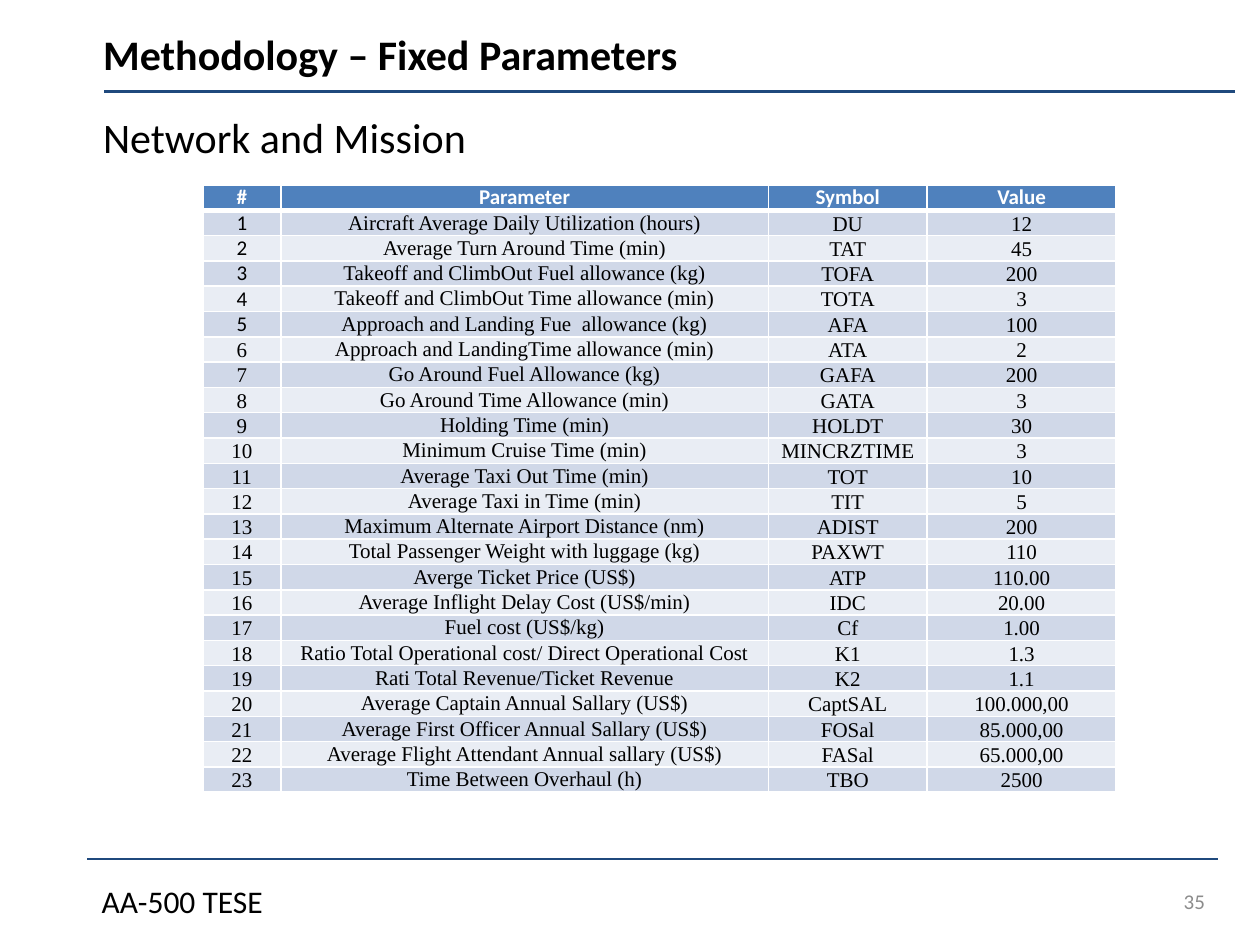
from lxml.etree import SubElement
from pptx import Presentation
from pptx.dml.color import RGBColor
from pptx.enum.shapes import MSO_CONNECTOR
from pptx.enum.text import MSO_ANCHOR, PP_ALIGN
from pptx.oxml.ns import qn
from pptx.util import Cm, Pt

HEADER = ("#", "Parameter", "Symbol", "Value")
PARAMETERS = [
    ("Aircraft Average Daily Utilization (hours)", "DU", "12"),
    ("Average Turn Around Time (min)", "TAT", "45"),
    ("Takeoff and ClimbOut Fuel allowance (kg)", "TOFA", "200"),
    ("Takeoff and ClimbOut Time allowance (min)", "TOTA", "3"),
    ("Approach and Landing Fue  allowance (kg)", "AFA", "100"),
    ("Approach and LandingTime allowance (min)", "ATA", "2"),
    ("Go Around Fuel Allowance (kg)", "GAFA", "200"),
    ("Go Around Time Allowance (min)", "GATA", "3"),
    ("Holding Time (min)", "HOLDT", "30"),
    ("Minimum Cruise Time (min)", "MINCRZTIME", "3"),
    ("Average Taxi Out Time (min)", "TOT", "10"),
    ("Average Taxi in Time (min)", "TIT", "5"),
    ("Maximum Alternate Airport Distance (nm)", "ADIST", "200"),
    ("Total Passenger Weight with luggage (kg)", "PAXWT", "110"),
    ("Averge Ticket Price (US$)", "ATP", "110.00"),
    ("Average Inflight Delay Cost (US$/min)", "IDC", "20.00"),
    ("Fuel cost (US$/kg)", "Cf", "1.00"),
    ("Ratio Total Operational cost/ Direct Operational Cost", "K1", "1.3"),
    ("Rati Total Revenue/Ticket Revenue", "K2", "1.1"),
    ("Average Captain Annual Sallary (US$)", "CaptSAL", "100.000,00"),
    ("Average First Officer Annual Sallary (US$)", "FOSal", "85.000,00"),
    ("Average Flight Attendant Annual sallary (US$)", "FASal", "65.000,00"),
    ("Time Between Overhaul (h)", "TBO", "2500"),
]
COLUMN_WIDTHS = (1.57, 9.83, 3.2, 3.81)
ROW_HEIGHT = 0.51
CALIBRI_NUMBERS = 5


def rgb(value):
    """Turn a hex string into a colour."""
    return RGBColor.from_string(value)


def write(paragraph, text, size, color="000000", font="Calibri", bold=False, align=PP_ALIGN.LEFT):
    """Fill a paragraph with text in one style."""
    paragraph.text = text
    paragraph.alignment = align
    paragraph.font.name = font
    paragraph.font.size = Pt(size)
    paragraph.font.bold = bold
    paragraph.font.color.rgb = rgb(color)


def add_text(slide, left, top, width, height, text, size, anchor=MSO_ANCHOR.TOP, **style):
    """Add a wrapping text box with one paragraph."""
    frame = slide.shapes.add_textbox(Cm(left), Cm(top), Cm(width), Cm(height)).text_frame
    frame.word_wrap = True
    frame.vertical_anchor = anchor
    write(frame.paragraphs[0], text, size, **style)


def add_rule(slide, left, top, width):
    """Add a horizontal dark blue rule."""
    rule = slide.shapes.add_connector(
        MSO_CONNECTOR.STRAIGHT, Cm(left), Cm(top), Cm(left + width), Cm(top))
    rule.line.color.rgb = rgb("1F497D")
    rule.line.width = Pt(1.5)
    SubElement(rule._element.spPr, qn("a:effectLst"))


def set_borders(cell, top, bottom):
    """Give a cell white borders, with top and bottom widths in points."""
    properties = cell._tc.get_or_add_tcPr()
    for side, width in (("L", 1), ("R", 1), ("T", top), ("B", bottom)):
        line = SubElement(properties, qn(f"a:ln{side}"), w=str(Pt(width)))
        fill = SubElement(line, qn("a:solidFill"))
        SubElement(fill, qn("a:srgbClr"), val="FFFFFF")


def style_cell(cell, row, column, text):
    """Fill one table cell according to its row and column."""
    is_header = row == 0
    set_borders(cell, 3 if row == 1 else 1, 3 if is_header else 1)
    cell.fill.solid()
    cell.fill.fore_color.rgb = rgb("4F81BD" if is_header else ("E9EDF4", "D0D8E8")[row % 2])
    cell.margin_left = cell.margin_right = Cm(0.18)
    cell.margin_top = cell.margin_bottom = 0
    is_name = column == 1 and not is_header
    cell.vertical_anchor = MSO_ANCHOR.MIDDLE if is_name else MSO_ANCHOR.BOTTOM
    uses_calibri = is_header or (column == 0 and row <= CALIBRI_NUMBERS)
    write(cell.text_frame.paragraphs[0], text, 12,
          color="FFFFFF" if is_header else "000000",
          font="Calibri" if uses_calibri else "Times New Roman",
          bold=is_header, align=PP_ALIGN.CENTER)


def add_parameter_table(slide, left, top):
    """Add the numbered table of fixed parameters."""
    rows = [HEADER] + [(str(number), *entry) for number, entry in enumerate(PARAMETERS, 1)]
    table = slide.shapes.add_table(
        len(rows), len(HEADER), Cm(left), Cm(top),
        Cm(sum(COLUMN_WIDTHS)), Cm(ROW_HEIGHT * len(rows))).table
    for column, width in zip(table.columns, COLUMN_WIDTHS):
        column.width = Cm(width)
    for row, values in enumerate(rows):
        table.rows[row].height = Cm(ROW_HEIGHT)
        for column, text in enumerate(values):
            style_cell(table.cell(row, column), row, column, text)


def main():
    """Build the slide and save it."""
    presentation = Presentation()
    presentation.slide_width, presentation.slide_height = Cm(25.4), Cm(19.05)
    slide = presentation.slides.add_slide(presentation.slide_layouts[6])
    add_rule(slide, 2.1, 1.85, 22.8)
    add_rule(slide, 1.76, 17.32, 22.8)
    add_text(slide, -0.05, 17.65, 5.6, 1.02, "AA-500 TESE", 18, align=PP_ALIGN.RIGHT)
    add_text(slide, 18.62, 17.65, 5.92, 1.02, "35", 12, MSO_ANCHOR.MIDDLE,
             color="8C8C8C", align=PP_ALIGN.RIGHT)
    add_text(slide, 1.83, 0.46, 12.88, 1.27, "Methodology – Fixed Parameters", 24, bold=True)
    add_text(slide, 1.83, 2.13, 21.26, 1.27, "Network and Mission", 24)
    add_parameter_table(slide, 4.09, 3.73)
    presentation.save("out.pptx")


if __name__ == "__main__":
    main()
